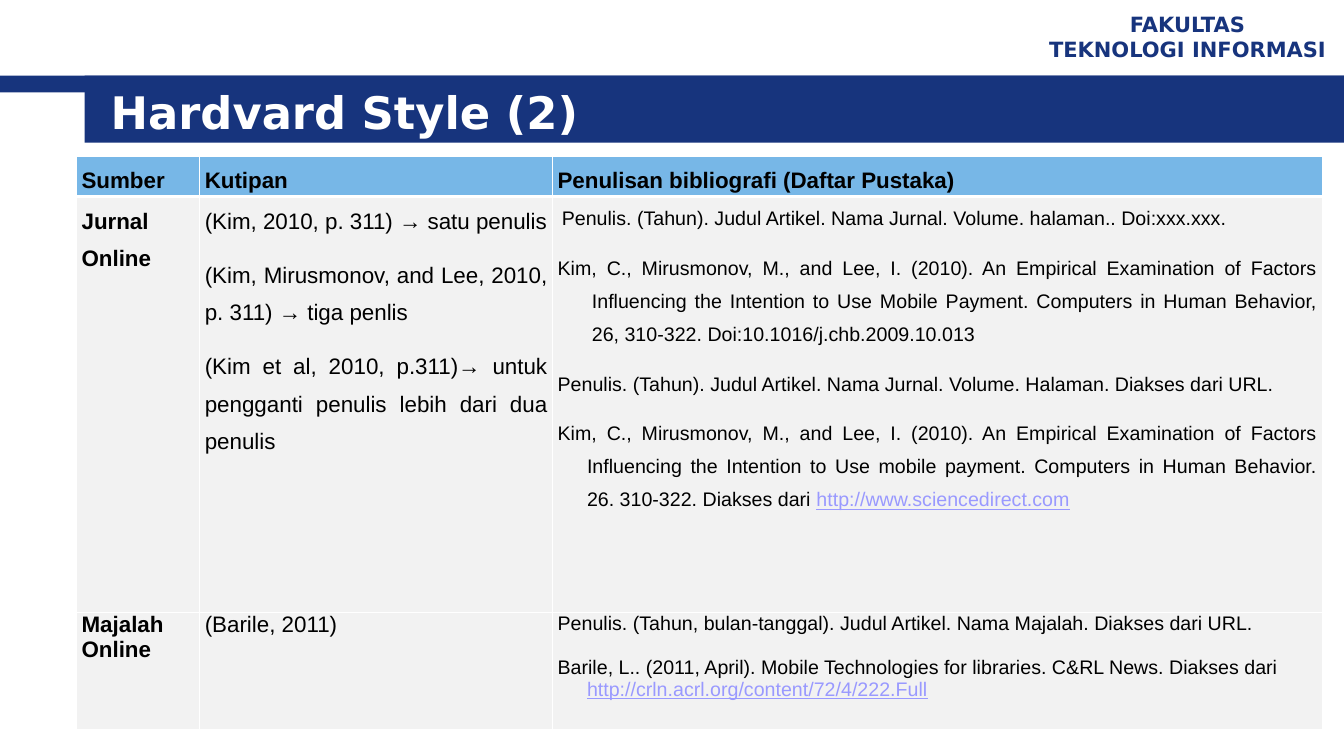
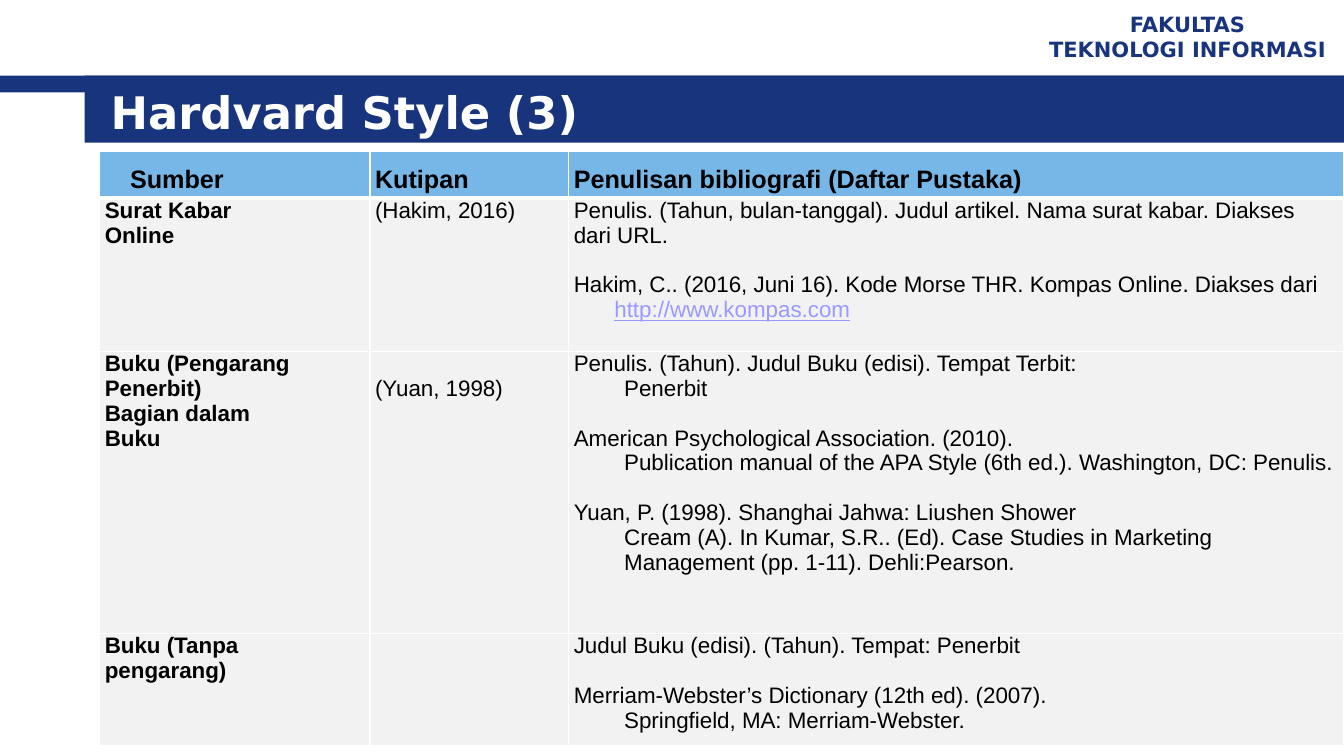
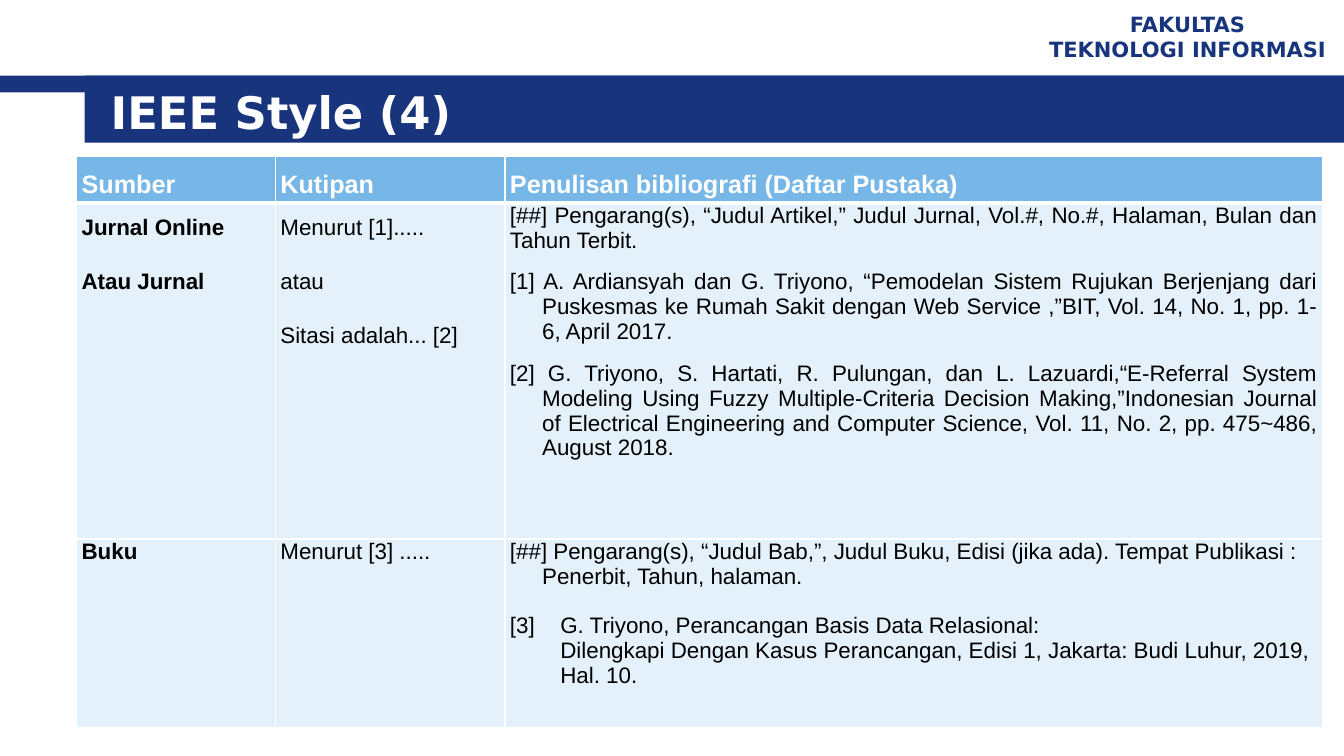
from dataclasses import dataclass
from functools import partial

from lxml import etree
from pptx import Presentation
from pptx import util as u
from pptx.dml.color import RGBColor
from pptx.enum import shapes, text
from pptx.oxml.ns import qn

Pt = u.Pt


@dataclass(frozen=True)
class Theme:
    navy: str = "17347D"
    sky: str = "77B7E7"
    pale: str = "E4F1FA"
    grey: str = "F2F2F2"
    link: str = "9999FF"
    white: str = "FFFFFF"
    black: str = "000000"
    title_font: str = "DejaVu Sans"
    body_font: str = "Arial"
    title_size: float = 32
    faculty_size: float = 15
    head_size: float = 18
    body_size: float = 16
    small_size: float = 14


@dataclass(frozen=True)
class Para:
    text: str
    link: str = ""
    size: float = Theme.body_size
    left: float = 0
    first: float = 0
    tab: float = 0
    spacing: float = 1.0
    before: float = 0
    after: float = 0
    justify: bool = False
    inset: float = 0  # top inset of the cell that the paragraph opens


# Paragraph kinds
GAP = 17.7  # one body line
loose = partial(Para, justify=True, spacing=1.5, before=6, after=6)
tight = partial(Para, justify=True, before=6, after=6)
loose_small = partial(loose, size=Theme.small_size)
small = partial(Para, size=Theme.small_size)
indented = partial(Para, left=36)
gapped = partial(Para, before=GAP)


class Deck:
    def __init__(self, theme):
        self.t = theme
        self.prs = Presentation()
        self.prs.slide_width, self.prs.slide_height = Pt(960), Pt(540)
        self.s = None

    def slide(self, title):
        self.s = self.prs.slides.add_slide(self.prs.slide_layouts[6])
        t = self.t
        self.band(0, 54, 960, 12)
        self.band(60.5, 54, 899.5, 48)
        self.textbox(736.5, 3.6, 223.5, 44.6, ["FAKULTAS", "TEKNOLOGI INFORMASI"],
                     t.faculty_size, t.navy, text.PP_ALIGN.CENTER)
        self.textbox(72, 57.6, 856, 44.6, [title], t.title_size, t.white,
                     text.PP_ALIGN.LEFT)

    def band(self, x, y, w, h):
        sp = self.s.shapes.add_shape(shapes.MSO_SHAPE.RECTANGLE,
                                     Pt(x), Pt(y), Pt(w), Pt(h))
        sp.shadow.inherit = False
        sp.fill.solid()
        sp.fill.fore_color.rgb = RGBColor.from_string(self.t.navy)
        sp.line.fill.background()

    def textbox(self, x, y, w, h, lines, size, color, align):
        tf = self.s.shapes.add_textbox(Pt(x), Pt(y), Pt(w), Pt(h)).text_frame
        tf.word_wrap = True
        tf.vertical_anchor = text.MSO_ANCHOR.MIDDLE
        for i, line in enumerate(lines):
            p = tf.add_paragraph() if i else tf.paragraphs[0]
            p.alignment = align
            self.run(p, line, self.t.title_font, size, color, bold=True)

    def run(self, p, words, font, size, color, bold=False, underline=False):
        r = p.add_run()
        r.text = words
        f = r.font
        f.name, f.size, f.bold, f.underline = font, Pt(size), bold, underline
        f.color.rgb = RGBColor.from_string(color)

    def table(self, x, y, cols, heights, head, rows, fill, head_color):
        """Draw a table; head and rows hold one list of Para per cell."""
        t = self.t
        tbl = self.s.shapes.add_table(len(heights), len(cols), Pt(x), Pt(y),
                                      Pt(sum(cols)), Pt(sum(heights))).table
        tbl.first_row = tbl.horz_banding = False
        for column, w in zip(tbl.columns, cols):
            column.width = Pt(w)
        for row, h in zip(tbl.rows, heights):
            row.height = Pt(h)
        for i, cells in enumerate([head] + rows):
            for j, paras in enumerate(cells):
                self.cell(tbl.cell(i, j), paras, t.sky if i == 0 else fill,
                          head_color if i == 0 else t.black,
                          bold=i == 0 or j == 0,
                          top=3 if i == 1 else 1, bottom=3 if i == 0 else 1)

    def cell(self, cell, paras, fill, color, bold, top, bottom):
        cell.margin_left = cell.margin_right = Pt(3.6)
        cell.margin_top = Pt(paras[0].inset if paras else 0)
        cell.margin_bottom = 0
        cell.fill.solid()
        cell.fill.fore_color.rgb = RGBColor.from_string(fill)
        self.borders(cell, L=1, R=1, T=top, B=bottom)
        tf = cell.text_frame
        for i, para in enumerate(paras):
            p = tf.add_paragraph() if i else tf.paragraphs[0]
            self.format(p, para, para.before if i else 0)
            add = partial(self.run, p, font=self.t.body_font, size=para.size)
            add(para.text, color=color, bold=bold)
            if para.link:
                add(para.link, color=self.t.link, underline=True)

    def format(self, p, para, before):
        p.alignment = text.PP_ALIGN.JUSTIFY if para.justify else text.PP_ALIGN.LEFT
        p.line_spacing = para.spacing
        p.space_before, p.space_after = Pt(before), Pt(para.after)
        pPr = p._p.get_or_add_pPr()
        pPr.set("marL", str(Pt(para.left)))
        pPr.set("indent", str(Pt(para.first)))
        if para.tab:
            tabs = etree.SubElement(pPr, qn("a:tabLst"))
            etree.SubElement(tabs, qn("a:tab"), pos=str(Pt(para.tab)), algn="l")

    def borders(self, cell, **widths):
        tcPr = cell._tc.get_or_add_tcPr()
        for i, (side, w) in enumerate(widths.items()):
            ln = etree.Element(qn("a:ln" + side), w=str(Pt(w)))
            fill = etree.SubElement(ln, qn("a:solidFill"))
            etree.SubElement(fill, qn("a:srgbClr"), val=self.t.white)
            tcPr.insert(i, ln)


def heading(size, left=0):
    return [[loose("Sumber", size=size, left=left)],
            [loose("Kutipan", size=size)],
            [loose("Penulisan bibliografi (Daftar Pustaka)", size=size)]]


def harvard_journals(d):
    d.slide("Hardvard Style (2)")
    rows = [
        [[loose("Jurnal Online")],
         [loose("(Kim, 2010, p. 311) → satu penulis"),
          loose("(Kim, Mirusmonov, and Lee, 2010, p. 311) → tiga penlis"),
          loose("(Kim et al, 2010, p.311)→ untuk pengganti penulis lebih dari "
                "dua penulis")],
         [loose_small("Penulis. (Tahun). Judul Artikel. Nama Jurnal. Volume. "
                      "halaman.. Doi:xxx.xxx.", left=24.5, first=-21.5),
          loose_small("Kim, C., Mirusmonov, M., and Lee, I. (2010). An Empirical "
                      "Examination of Factors Influencing the Intention to Use "
                      "Mobile Payment. Computers in Human Behavior, 26, 310‐322. "
                      "Doi:10.1016/j.chb.2009.10.013", left=24.5, first=-24.5),
          loose_small("Penulis. (Tahun). Judul Artikel. Nama Jurnal. Volume. "
                      "Halaman. Diakses dari URL."),
          loose_small("Kim, C., Mirusmonov, M., and Lee, I. (2010). An Empirical "
                      "Examination of Factors Influencing the Intention to Use "
                      "mobile payment. Computers in Human Behavior. 26. 310‐322. "
                      "Diakses dari ", "http://www.sciencedirect.com",
                      left=21, first=-21)]],
        [[Para("Majalah Online")],
         [Para("(Barile, 2011)")],
         [small("Penulis. (Tahun, bulan‐tanggal). Judul Artikel. Nama Majalah. "
                "Diakses dari URL."),
          small("Barile, L.. (2011, April). Mobile Technologies for libraries. "
                "C&RL News. Diakses dari ",
                "http://crln.acrl.org/content/72/4/222.Full",
                left=21, first=-21, before=15.6)]],
    ]
    d.table(54.7, 111.6, [88, 252, 550], [27.5, 297, 84],
            heading(d.t.body_size), rows, d.t.grey, d.t.black)


def harvard_books(d):
    d.slide("Hardvard Style (3)")
    rows = [
        [[Para("Surat Kabar"), Para("Online")],
         [Para("(Hakim, 2016)")],
         [Para("Penulis. (Tahun, bulan‐tanggal). Judul artikel. Nama surat kabar. "
               "Diakses dari URL."),
          gapped("Hakim, C.. (2016, Juni 16). Kode Morse THR. Kompas Online. "
                 "Diakses dari ", "http://www.kompas.com", left=29, first=-29)]],
        [[Para("Buku (Pengarang"), Para("Penerbit)"),
          Para("Bagian dalam"), Para("Buku")],
         [Para("(Yuan, 1998)", inset=GAP)],
         [Para("Penulis. (Tahun). Judul Buku (edisi). Tempat Terbit:"),
          indented("Penerbit"),
          gapped("American Psychological Association. (2010)."),
          indented("Publication manual of the APA Style (6th ed.). Washington, DC: "
                   "Penulis."),
          gapped("Yuan, P. (1998). Shanghai Jahwa: Liushen Shower"),
          indented("Cream (A). In Kumar, S.R.. (Ed). Case Studies in Marketing "
                   "Management (pp. 1‐11). Dehli:Pearson.")]],
        [[Para("Buku (Tanpa"), Para("pengarang)")],
         [],
         [Para("Judul Buku (edisi). (Tahun). Tempat: Penerbit"),
          gapped("Merriam‐Webster’s Dictionary (12th ed). (2007)."),
          indented("Springfield, MA: Merriam‐Webster.")]],
    ]
    d.table(71.3, 108, [193, 142, 553.5], [33.5, 109.5, 201.5, 80.5],
            heading(d.t.head_size, left=18), rows, d.t.grey, d.t.black)


def ieee(d):
    d.slide("IEEE Style (4)")
    hanging = {"left": 23, "first": -23}
    rows = [
        [[loose("Jurnal Online"), loose("Atau Jurnal")],
         [loose("Menurut [1]....."), loose("atau"), loose("Sitasi adalah... [2]")],
         [tight("[##] Pengarang(s), “Judul Artikel,” Judul Jurnal, Vol.#, No.#, "
                "Halaman, Bulan dan Tahun Terbit."),
          tight("[1] A. Ardiansyah dan G. Triyono, “Pemodelan Sistem Rujukan "
                "Berjenjang dari Puskesmas ke Rumah Sakit dengan Web Service ,”BIT, "
                "Vol. 14, No. 1, pp. 1-6, April 2017.", **hanging),
          tight("[2] G. Triyono, S. Hartati, R. Pulungan, dan L. Lazuardi,"
                "“E-Referral System Modeling Using Fuzzy Multiple-Criteria Decision "
                "Making,”Indonesian Journal of Electrical Engineering and Computer "
                "Science, Vol. 11, No. 2, pp. 475~486, August 2018.", **hanging)]],
        [[Para("Buku")],
         [Para("Menurut [3] .....")],
         [Para("[##] Pengarang(s), “Judul Bab,”, Judul Buku, Edisi (jika ada). "
               "Tempat Publikasi : Penerbit, Tahun, halaman.", **hanging),
          gapped("[3]\tG. Triyono, Perancangan Basis Data Relasional:", tab=30.7),
          indented("Dilengkapi Dengan Kasus Perancangan, Edisi 1, Jakarta: Budi "
                   "Luhur, 2019, Hal. 10.")]],
    ]
    d.table(54.7, 111.6, [142, 164, 584], [33.5, 240, 134.5],
            heading(d.t.head_size), rows, d.t.pale, d.t.white)


def main():
    d = Deck(Theme())
    harvard_journals(d)
    harvard_books(d)
    ieee(d)
    d.prs.save("out.pptx")


if __name__ == "__main__":
    main()
